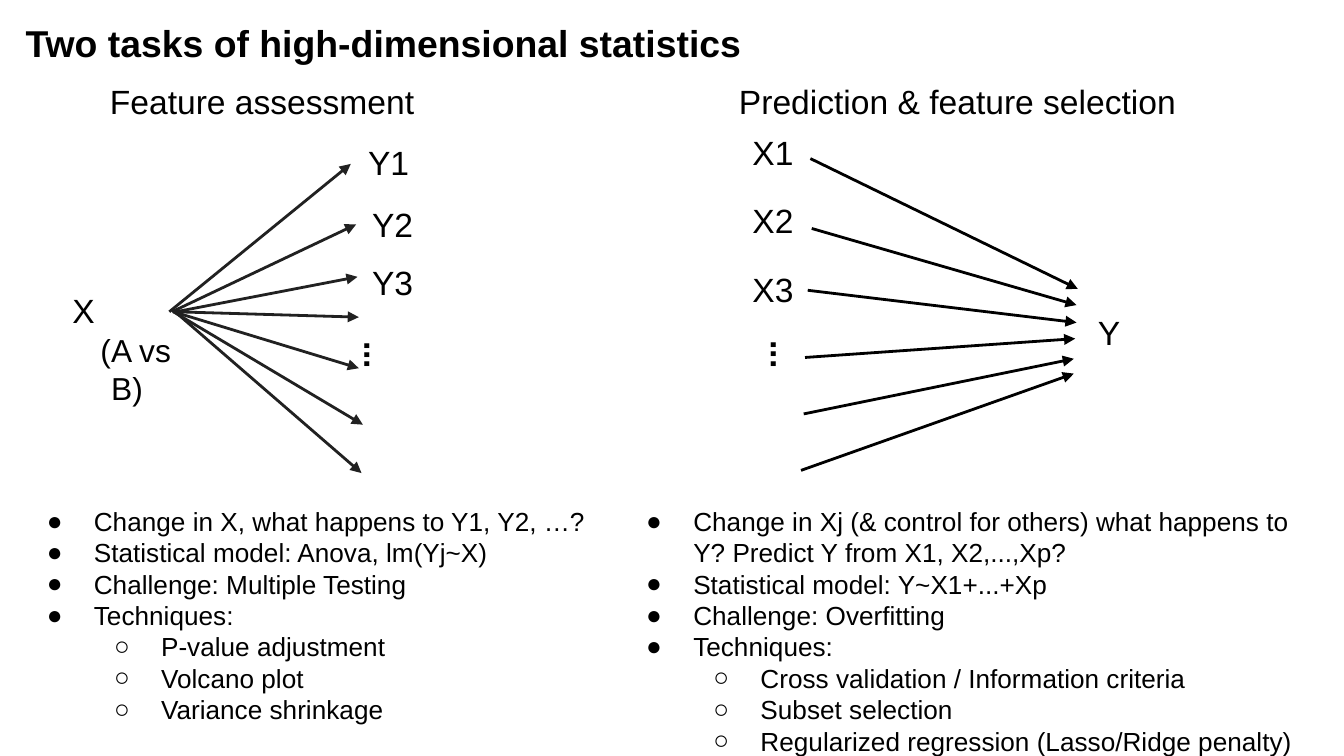
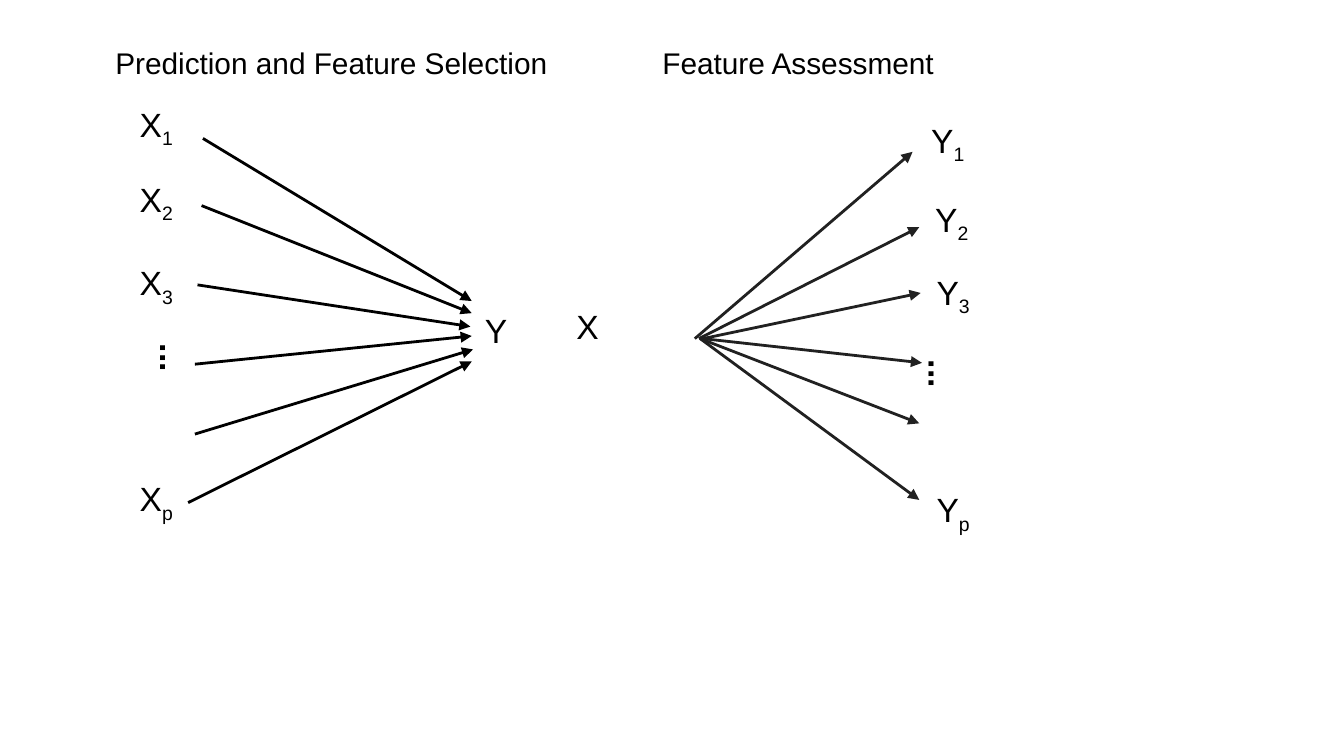
from lxml import etree
from pptx import Presentation
from pptx.dml.color import RGBColor
from pptx.enum.shapes import MSO_CONNECTOR
from pptx.enum.text import MSO_AUTO_SIZE, PP_ALIGN
from pptx.oxml.ns import qn
from pptx.util import Inches, Pt

STRAIGHT = MSO_CONNECTOR.STRAIGHT
FIT = MSO_AUTO_SIZE.SHAPE_TO_FIT_TEXT
CENTER = PP_ALIGN.CENTER
BLACK = RGBColor(0x00, 0x00, 0x00)
CHARCOAL = RGBColor(0x21, 0x21, 0x21)
FONT = "Arial"
COLUMNS = 100
LABEL_ROWS = 5


class Deck:
    def __init__(self):
        self.prs = Presentation()
        self.prs.slide_width = Inches(10)
        self.prs.slide_height = self.prs.slide_width * 9 // 16
        self.unit = self.prs.slide_width / COLUMNS
        self.slide = None

    def grid(self, *cells):
        return [round(cell * self.unit) for cell in cells]

    def new_slide(self):
        self.slide = self.prs.slides.add_slide(self.prs.slide_layouts[6])

    def style(self, paragraph, size, bold=False):
        for run in paragraph.runs:
            run.font.name = FONT
            run.font.size = Pt(size)
            run.font.bold = bold
            run.font.color.rgb = BLACK

    def text(self, col, row, width, content, size=18, bold=False,
             height=LABEL_ROWS, inset=1):
        box = self.slide.shapes.add_textbox(*self.grid(col, row, width, height))
        frame = box.text_frame
        frame.word_wrap = True
        margin, = self.grid(inset)
        frame.margin_left = frame.margin_right = margin
        frame.margin_top = frame.margin_bottom = margin
        frame.text = content
        for paragraph in frame.paragraphs:
            self.style(paragraph, size, bold)
        if inset:
            frame.auto_size = FIT
        return box

    def title(self, content):
        self.text(1.9, 1.5, 80.8, content, size=20, bold=True,
                  height=10.2, inset=0)

    def variable(self, col, row, width, letter, index):
        paragraph = self.text(col, row, width, letter).text_frame.paragraphs[0]
        subscript = paragraph.add_run()
        subscript.text = index
        self.style(paragraph, 18)
        subscript._r.get_or_add_rPr().set("baseline", "-25000")

    def ellipsis(self, col, row, width, spacing=1.0):
        dots = self.text(col, row, width, "...", bold=True)
        dots.rotation = 90
        dots.text_frame.paragraphs[0].line_spacing = spacing

    def predictor(self, col, row, width, groups):
        frame = self.text(col, row, width, f"X\n{groups}", height=7.9).text_frame
        letter, comparison = frame.paragraphs
        letter._p.get_or_add_pPr().set("marL", str(Inches(0.02)))
        comparison.alignment = CENTER
        comparison._p.get_or_add_pPr().set("indent", str(Inches(0.13)))
        self.style(comparison, 17)

    def bullets(self, col, row, width, height, points, techniques):
        frame = self.text(col, row, width, "\n".join(points + techniques),
                          size=14, height=height).text_frame
        for position, paragraph in enumerate(frame.paragraphs):
            level = int(position >= len(points))
            paragraph.level = level
            properties = paragraph._p.get_or_add_pPr()
            properties.set("marL", str(Inches(0.5 * (level + 1))))
            properties.set("indent", str(-Inches(0.35)))
            tint = etree.SubElement(properties, qn("a:buClr"))
            etree.SubElement(tint, qn("a:srgbClr")).set("val", str(BLACK))
            etree.SubElement(properties, qn("a:buSzPts")).set("val", "1400")
            etree.SubElement(properties, qn("a:buFont")).set("typeface", FONT)
            marker = etree.SubElement(properties, qn("a:buChar"))
            marker.set("char", "●○"[level])

    def arrows(self, color, spans):
        for span in spans:
            arrow = self.slide.shapes.add_connector(STRAIGHT, *self.grid(*span))
            arrow.line.color.rgb = color
            arrow.line.width = Pt(1.5)
            tip = etree.SubElement(arrow.line._get_or_add_ln(), qn("a:tailEnd"))
            tip.set("type", "triangle")
            etree.SubElement(arrow._element.spPr, qn("a:effectLst"))


def two_tasks(deck):
    deck.new_slide()
    deck.title("Two tasks of high-dimensional statistics")

    deck.bullets(
        1, 36.6, 51.1, 18.5,
        ["Change in X, what happens to Y1, Y2, …?",
         "Statistical model: Anova, lm(Yj~X)",
         "Challenge: Multiple Testing",
         "Techniques:"],
        ["P-value adjustment", "Volcano plot", "Variance shrinkage"])
    deck.bullets(
        45.6, 36.6, 51.9, 20.9,
        ["Change in Xj (& control for others) what happens to Y? "
         "Predict Y from X1, X2,...,Xp?",
         "Statistical model: Y~X1+...+Xp",
         "Challenge: Overfitting",
         "Techniques:"],
        ["Cross validation / Information criteria",
         "Subset selection",
         "Regularized regression (Lasso/Ridge penalty)"])

    deck.arrows(CHARCOAL, [
        (12.6, 23.2, 26.1, 12.2), (12.8, 23.2, 26.5, 16.7),
        (13.1, 23.2, 26.6, 20.6), (13, 23.2, 26.7, 23.6),
        (12.9, 23.2, 26.7, 27.4), (12.9, 23.2, 27, 31.6),
        (12.8, 23, 26.9, 35.2)])
    deck.predictor(4.2, 20.6, 10.5, "(A vs B)")
    for response, col, row in [("Y1", 26.4, 9.6), ("Y2", 26.7, 14.2),
                               ("Y3", 26.7, 18.5)]:
        deck.text(col, row, 8.9, response)
    deck.ellipsis(25.4, 26.1, 8.4, spacing=1.5)

    deck.arrows(BLACK, [
        (60.3, 11.8, 80.2, 21.5), (60.4, 17, 80.1, 22.7),
        (60.1, 21.6, 80.1, 24), (59.9, 26.6, 80, 25.2),
        (59.8, 30.8, 79.9, 26.7), (59.6, 35, 79.9, 27.8)])
    for number in range(3):
        deck.text(55, 8.8 + 5.1 * number, 8.9, f"X{number + 1}")
    deck.ellipsis(53.9, 26.3, 8.9)
    deck.text(80.7, 22.2, 8.5, "Y")

    deck.text(7.2, 5, 28.4, "Feature assessment")
    deck.text(54, 5, 39.8, "Prediction & feature selection")


def task_diagrams(deck):
    deck.new_slide()
    deck.arrows(CHARCOAL, [
        (51.7, 25.2, 67.9, 11.3), (52, 25.2, 68.4, 16.9),
        (52.3, 25.2, 68.5, 21.8), (52.3, 25.2, 68.6, 27),
        (52.1, 25.2, 68.4, 31.5), (52.1, 25.2, 68.4, 37.2)])
    deck.text(41.9, 21.8, 12.4, "X")
    for index, col, row in [("1", 68.3, 7.9), ("2", 68.6, 13.8),
                            ("3", 68.7, 19.2), ("p", 68.7, 35.4)]:
        deck.variable(col, row, 10.7, "Y", index)
    deck.ellipsis(66.3, 28.6, 10.6, spacing=1.5)

    deck.arrows(BLACK, [
        (15.1, 10.3, 35.1, 22.4), (15, 15.3, 35.1, 23.3),
        (14.7, 21.2, 35, 24.3), (14.5, 27.1, 35.1, 25),
        (14.5, 32.3, 35.2, 26), (14, 37.4, 35.1, 26.9)])
    for index, row in [("1", 6.7), ("2", 12.3), ("3", 18.5), ("p", 34.6)]:
        deck.variable(9.4, row, 9.2, "X", index)
    deck.ellipsis(7.3, 27.7, 11.2)
    deck.text(35.1, 22.1, 8.8, "Y")

    deck.text(7.6, 2.3, 36.3, "Prediction and Feature Selection", size=16,
              height=4.7)
    deck.text(48.3, 2.3, 39.8, "Feature Assessment", size=16, height=4.7)


def main():
    deck = Deck()
    two_tasks(deck)
    task_diagrams(deck)
    deck.prs.save("out.pptx")


if __name__ == "__main__":
    main()
